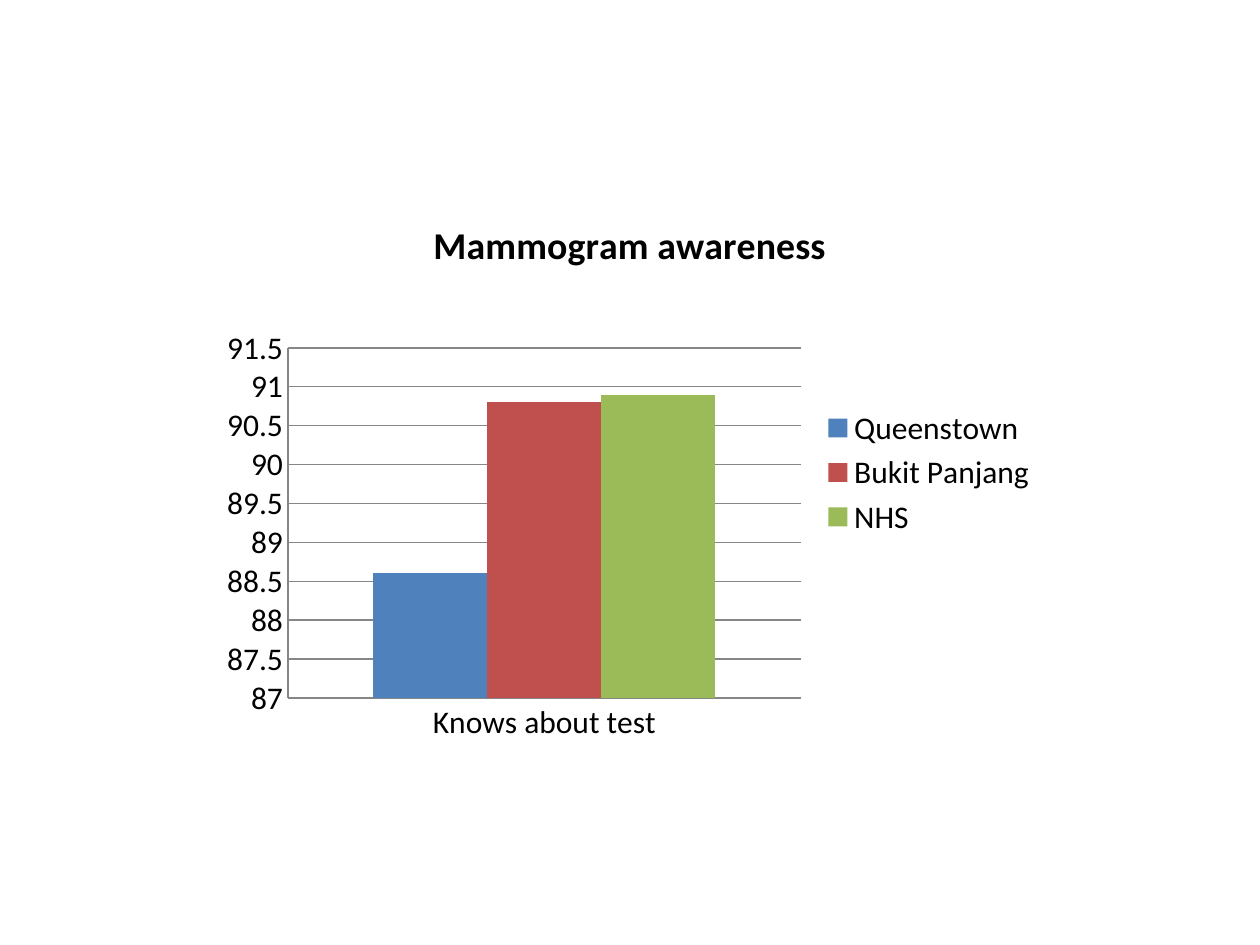
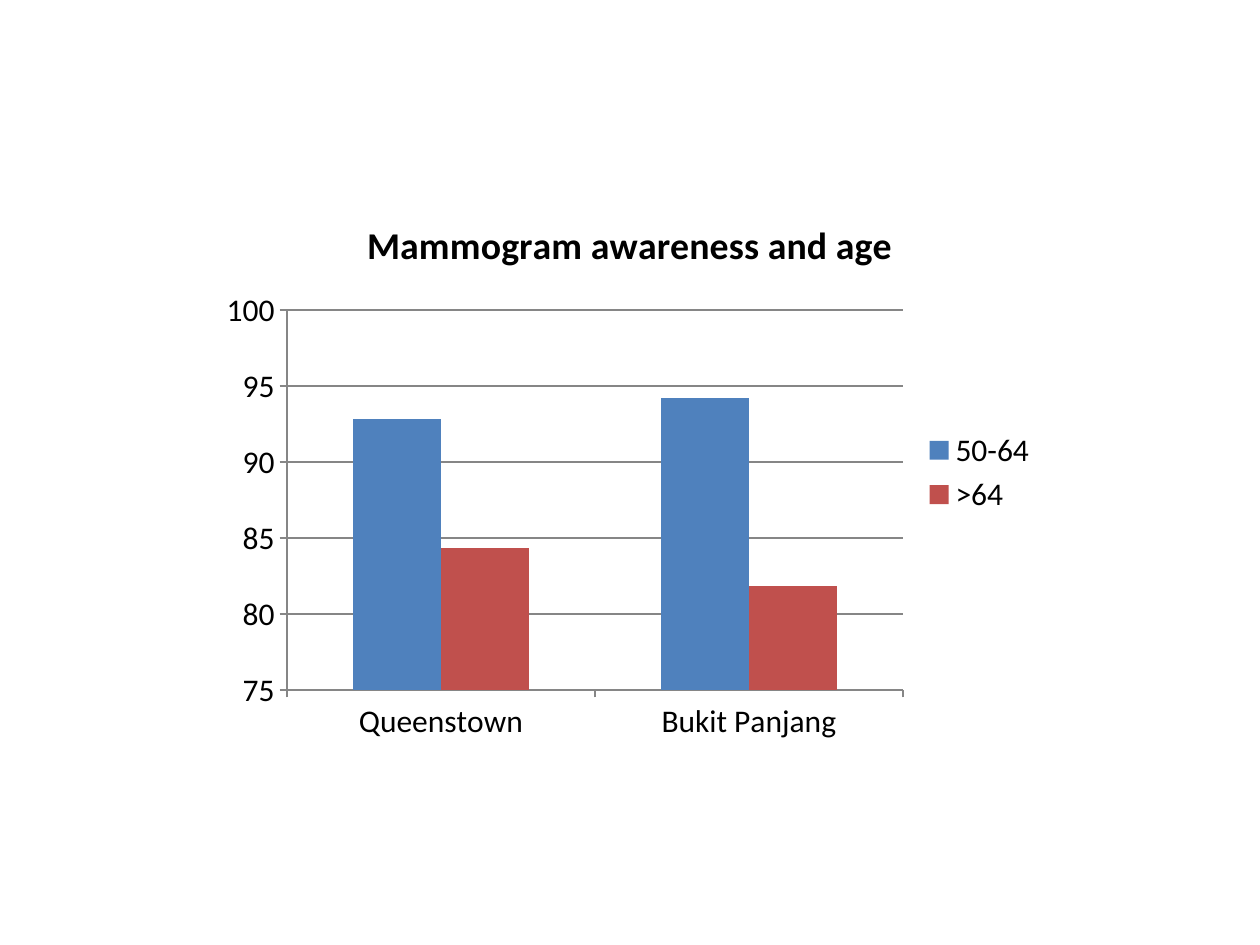
import lxml.etree
import pptx
import pptx.chart.data
import pptx.dml.color
import pptx.enum.chart
import pptx.oxml.ns
import pptx.util

SCALE = 914400 / 126  # EMU in one px
SLIDE_SIZE = (1260, 945)
CHART_BOX = (210, 193, 840, 559)
FONT_NAME = "Calibri"
COLOURS = {
    "text": "000000",
    "line": "868686",
    "background": "FFFFFF",
    "series": ["4F81BD", "C0504D", "9BBB59"],
}


def px(length):
    return pptx.util.Emu(round(length * SCALE))


def colour(hex_string):
    return pptx.dml.color.RGBColor.from_string(hex_string)


def style_font(font, size, bold=False):
    font.name = FONT_NAME
    font.size = pptx.util.Pt(size)
    font.bold = bold
    font.color.rgb = colour(COLOURS["text"])


def style_line(line):
    line.color.rgb = colour(COLOURS["line"])
    line.width = pptx.util.Pt(0.75)


def place_plot(chart, plot_box, chart_size):
    """Fix the inner plot area; plot_box is in px from the chart's corner."""
    plot_area = chart._chartSpace.chart.plotArea
    tag = pptx.oxml.ns.qn
    for layout in plot_area.findall(tag("c:layout")):
        plot_area.remove(layout)
    layout = lxml.etree.Element(tag("c:layout"))
    manual = lxml.etree.SubElement(layout, tag("c:manualLayout"))
    left, top, width, height = plot_box
    chart_width, chart_height = chart_size
    settings = {
        "layoutTarget": "inner",
        "xMode": "edge",
        "yMode": "edge",
        "x": left / chart_width,
        "y": top / chart_height,
        "w": width / chart_width,
        "h": height / chart_height,
    }
    for name, value in settings.items():
        lxml.etree.SubElement(manual, tag("c:" + name)).set("val", str(value))
    plot_area.insert(0, layout)


def add_column_chart(slide, box, title, categories, series, value_range, tick_mark, plot_box):
    data = pptx.chart.data.CategoryChartData(number_format="General")
    data.categories = categories
    for name, values in series.items():
        data.add_series(name, values)
    chart = slide.shapes.add_chart(
        pptx.enum.chart.XL_CHART_TYPE.COLUMN_CLUSTERED, *map(px, box), data
    ).chart
    style_font(chart.font, 18)

    # Title
    chart.has_title = True
    paragraph = chart.chart_title.text_frame.paragraphs[0]
    paragraph.text = title
    style_font(paragraph.font, 21.6, bold=True)

    # Legend
    chart.has_legend = True
    chart.legend.position = pptx.enum.chart.XL_LEGEND_POSITION.RIGHT
    chart.legend.include_in_layout = False

    # Axes and gridlines
    for axis in (chart.category_axis, chart.value_axis):
        axis.major_tick_mark = tick_mark
        axis.minor_tick_mark = pptx.enum.chart.XL_TICK_MARK.NONE
        style_line(axis.format.line)
    value_axis = chart.value_axis
    value_axis.minimum_scale, value_axis.maximum_scale, value_axis.major_unit = value_range
    value_axis.has_major_gridlines = True
    style_line(value_axis.major_gridlines.format.line)

    # Columns
    plot = chart.plots[0]
    plot.gap_width = 150
    plot.overlap = 0
    plot.vary_by_categories = False
    for column_series, hex_string in zip(plot.series, COLOURS["series"]):
        column_series.format.fill.solid()
        column_series.format.fill.fore_color.rgb = colour(hex_string)
    place_plot(chart, plot_box, box[2:])


def add_chart_slide(presentation, **chart_settings):
    slide = presentation.slides.add_slide(presentation.slide_layouts[6])
    slide.background.fill.solid()
    slide.background.fill.fore_color.rgb = colour(COLOURS["background"])
    add_column_chart(slide, CHART_BOX, **chart_settings)


def main():
    presentation = pptx.Presentation()
    presentation.slide_width, presentation.slide_height = map(px, SLIDE_SIZE)

    # Awareness by town
    add_chart_slide(
        presentation,
        title="Mammogram awareness",
        categories=["Knows about test"],
        series={"Queenstown": [88.6], "Bukit Panjang": [90.8], "NHS": [90.9]},
        value_range=(87, 91.5, 0.5),
        tick_mark=pptx.enum.chart.XL_TICK_MARK.NONE,
        plot_box=(78, 155, 513, 350),
    )

    # Awareness by town and age group
    add_chart_slide(
        presentation,
        title="Mammogram awareness and age",
        categories=["Queenstown", "Bukit Panjang"],
        series={"50-64": [92.8, 94.2], ">64": [84.3, 81.8]},
        value_range=(75, 100, 5),
        tick_mark=pptx.enum.chart.XL_TICK_MARK.OUTSIDE,
        plot_box=(77, 117, 616, 380),
    )
    presentation.save("out.pptx")


if __name__ == "__main__":
    main()
